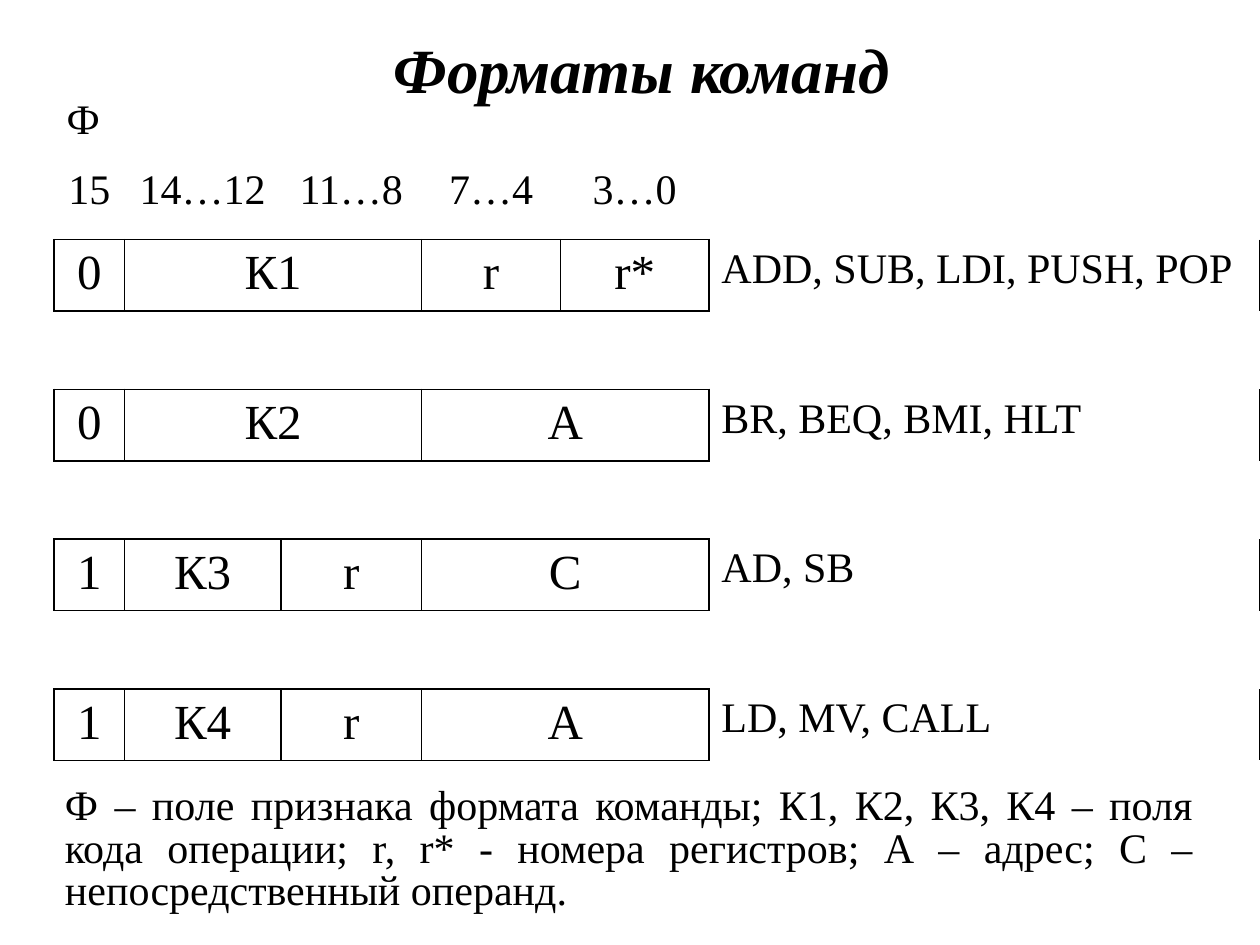
from collections import defaultdict
from dataclasses import dataclass

from lxml import etree
from pptx import Presentation
from pptx import util as u
from pptx.dml.color import RGBColor
from pptx.enum import text
from pptx.oxml import ns


@dataclass(frozen=True)
class Theme:
    font: str = "Times New Roman"
    ink: str = "000000"
    title: int = 36
    field: int = 28
    body: int = 24
    line: float = 1


@dataclass(frozen=True)
class Field:
    label: str
    column: int
    span: int = 1


@dataclass(frozen=True)
class Format:
    fields: tuple[Field, ...]
    commands: str


THEME = Theme()
NO_STYLE = "{2D5ABB26-0587-4C30-8999-92F81FD0307C}"
SIDES = ("L", "R", "T", "B")
WIDTHS = (1.42, 3.15, 2.84, 2.8, 0.83, 2.16, 11.1)
LABEL_COLUMN = len(WIDTHS) - 1
HEADER_HEIGHT, FORMAT_HEIGHT, GAP_HEIGHT = 1.42, 1.44, 1.58

BITS = (
    Field("15", 0),
    Field("14…12", 1),
    Field("11…8", 2),
    Field("7…4", 3),
    Field("3…0", 4, 2),
)
FORMATS = (
    Format((Field("0", 0), Field("К1", 1, 2), Field("r", 3), Field("r*", 4, 2)),
           "ADD, SUB, LDI, PUSH, POP"),
    Format((Field("0", 0), Field("К2", 1, 2), Field("A", 3, 3)),
           "BR, BEQ, BMI, HLT"),
    Format((Field("1", 0), Field("К3", 1), Field("r", 2), Field("C", 3, 3)),
           "AD, SB"),
    Format((Field("1", 0), Field("К4", 1), Field("r", 2), Field("A", 3, 3)),
           "LD, MV, CALL"),
)
NOTE = (
    "Ф – поле признака формата команды; К1, К2, К3, К4 – поля кода операции; "
    "r, r* - номера регистров; А – адрес; С – непосредственный операнд."
)


def apply(target, values: dict) -> None:
    for name, value in values.items():
        setattr(target, name, value)


def write(frame, wording: str, size: int, para_format: dict, **font) -> None:
    para = frame.paragraphs[0]
    apply(para, para_format)
    span = para.add_run()
    span.text = wording
    apply(span.font, {"name": THEME.font, "size": u.Pt(size), **font})
    span.font.color.rgb = RGBColor.from_string(THEME.ink)


def add_text(page, place: tuple, wording: str, size: int,
             frame_format: dict, para_format: dict, **font) -> None:
    box = page.shapes.add_textbox(*map(u.Cm, place))
    apply(box.text_frame, {"word_wrap": True, **frame_format})
    write(box.text_frame, wording, size, para_format, **font)


def add_field(table, row: int, field: Field, size: int) -> None:
    cell = table.cell(row, field.column)
    if field.span > 1:
        cell.merge(table.cell(row, field.column + field.span - 1))
    write(cell.text_frame, field.label, size,
          {"alignment": text.PP_ALIGN.CENTER})


def frame_edges(row: int, field: Field, edges: dict) -> None:
    end = field.column + field.span
    edges[row, field.column].update("LR")
    edges[row, end - 1].add("R")
    edges[row, end].add("L")
    for column in range(field.column, end):
        edges[row, column].update("TB")
        edges[row - 1, column].add("B")
        edges[row + 1, column].add("T")


def draw_edges(cell, sides: set) -> None:
    properties = cell._tc.get_or_add_tcPr()
    for side in SIDES:
        if side in sides:
            line = etree.SubElement(properties, ns.qn(f"a:ln{side}"),
                                    w=str(u.Pt(THEME.line)))
            fill = etree.SubElement(line, ns.qn("a:solidFill"))
            etree.SubElement(fill, ns.qn("a:srgbClr"), val=THEME.ink)
    cell.fill.background()


def add_formats(page) -> None:
    heights = [HEADER_HEIGHT]
    for _ in FORMATS:
        heights += [GAP_HEIGHT, FORMAT_HEIGHT]
    heights[1:] = [*heights[1:], ][:-1] + [FORMAT_HEIGHT]
    heights = [HEADER_HEIGHT, *[GAP_HEIGHT, FORMAT_HEIGHT] * len(FORMATS)]
    box = page.shapes.add_table(
        len(heights), len(WIDTHS), u.Cm(1.09), u.Cm(1.83),
        u.Cm(sum(WIDTHS)), u.Cm(sum(heights)))
    table = box.table
    apply(table, {"first_row": False, "horz_banding": False})
    table._tbl.tblPr.find(ns.qn("a:tableStyleId")).text = NO_STYLE
    for column, width in zip(table.columns, WIDTHS):
        column.width = u.Cm(width)
    for row, height in zip(table.rows, heights):
        row.height = u.Cm(height)

    left = {"alignment": text.PP_ALIGN.LEFT}
    write(table.cell(0, 0).text_frame, "Ф", THEME.body, left)
    for field in BITS:
        add_field(table, 1, field, THEME.body)
    edges = defaultdict(set)
    for index, item in enumerate(FORMATS):
        row = 2 + 2 * index
        for field in item.fields:
            add_field(table, row, field, THEME.field)
            frame_edges(row, field, edges)
        write(table.cell(row, LABEL_COLUMN).text_frame, item.commands,
              THEME.body, left)
    for row in range(len(heights)):
        for column in range(len(WIDTHS)):
            draw_edges(table.cell(row, column), edges[row, column])


def main() -> None:
    deck = Presentation()
    apply(deck, {"slide_width": u.Cm(25.4), "slide_height": u.Cm(19.05)})
    page = deck.slides.add_slide(deck.slide_layouts[6])
    add_formats(page)
    add_text(page, (0.89, 0.43, 24.1, 1.9), "Форматы команд", THEME.title,
             {"vertical_anchor": text.MSO_ANCHOR.MIDDLE},
             {"alignment": text.PP_ALIGN.CENTER}, bold=True, italic=True)
    add_text(page, (0.1, 15.72, 24.2, 3.02), NOTE, THEME.body,
             {"margin_left": u.Cm(1.21)},
             {"alignment": text.PP_ALIGN.JUSTIFY, "line_spacing": 0.85,
              "space_before": u.Pt(6)})
    deck.save("out.pptx")


main()
